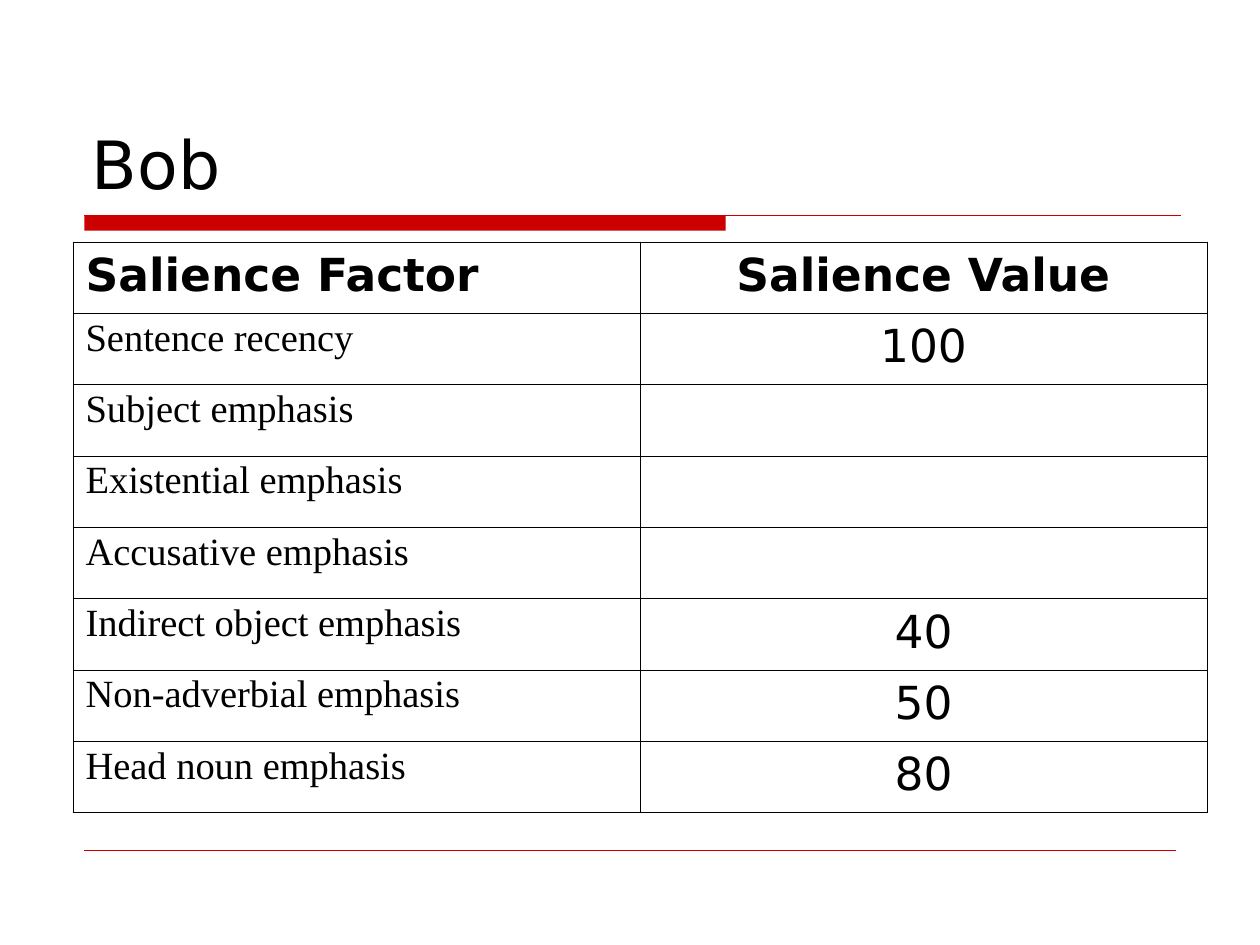
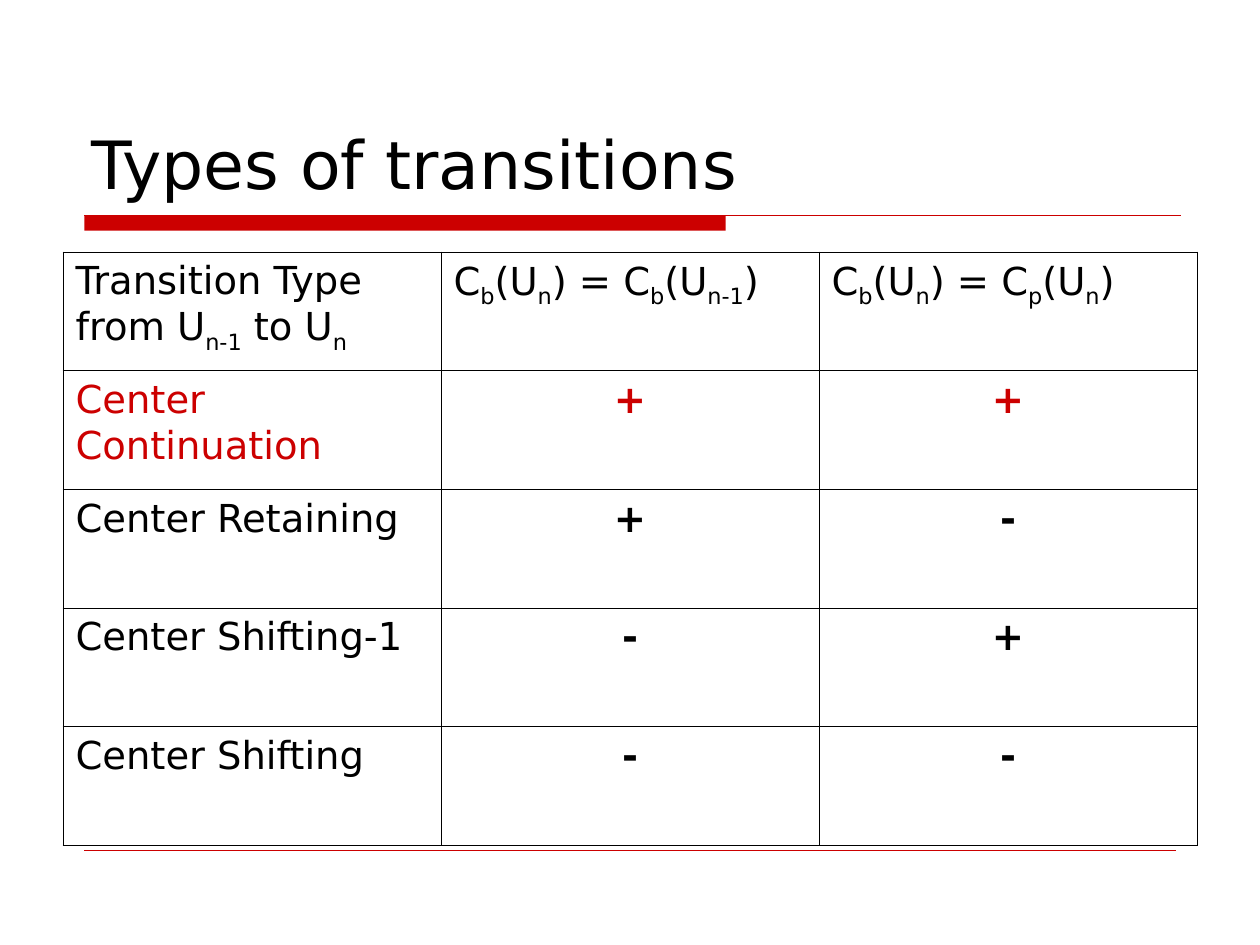
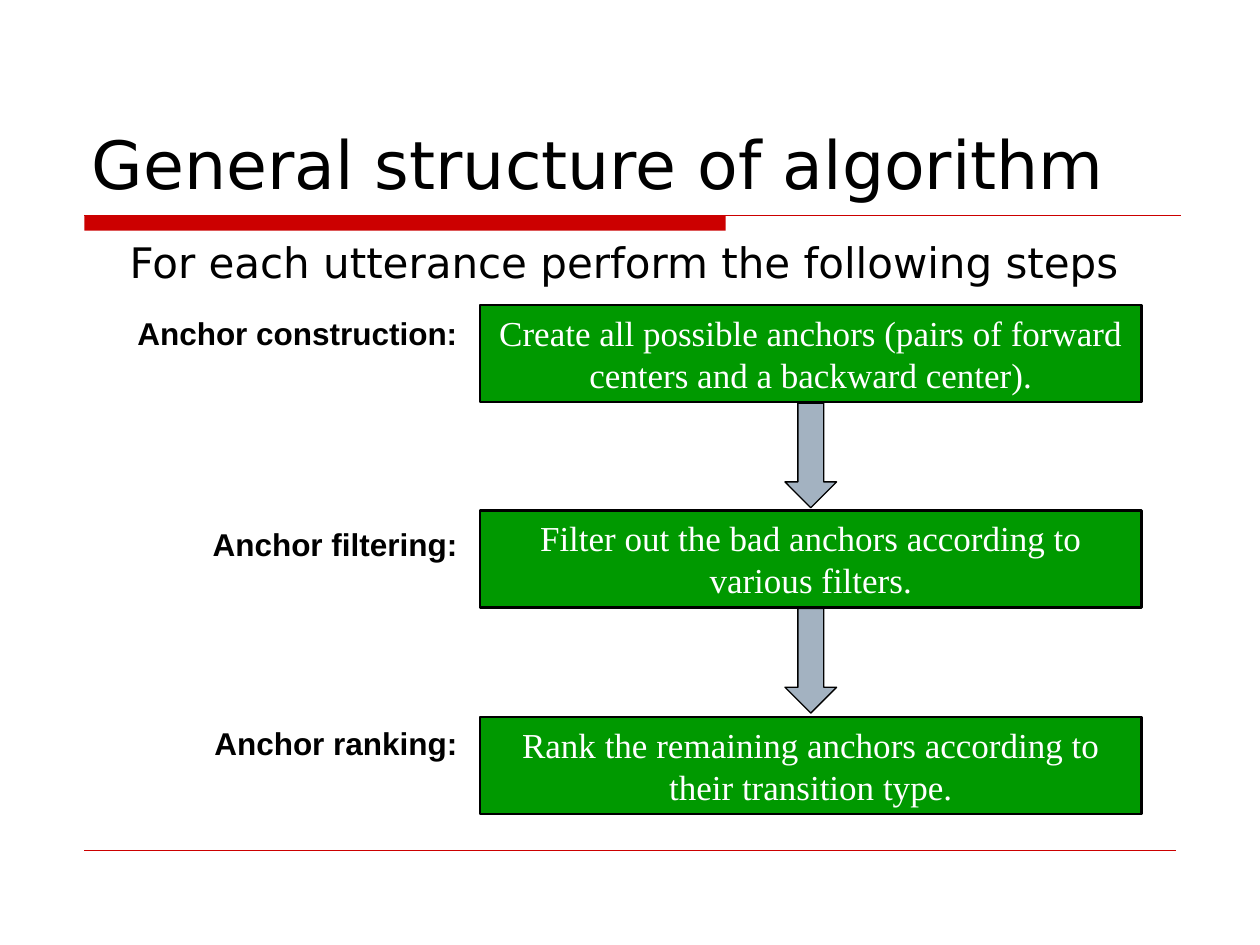
from dataclasses import dataclass
from typing import Optional

from lxml.etree import SubElement
from pptx import Presentation
from pptx.dml.color import RGBColor
from pptx.enum.shapes import MSO_CONNECTOR as LINE, MSO_SHAPE as SHAPE
from pptx.enum.text import MSO_ANCHOR as ANCHOR, MSO_AUTO_SIZE as FIT, PP_ALIGN as ALIGN
from pptx.oxml.ns import qn
from pptx.util import Emu, Pt

PX = 9144
COLORS = {
    "text": "000000",
    "accent": "CC0000",
    "box": "009900",
    "arrow": "A3B2C1",
    "light": "FFFFFF",
}
SANS, SERIF, LABEL = "DejaVu Sans", "Times New Roman", "Arial"
OUTER, INNER = 0.5, 0.23


@dataclass
class TextStyle:
    size: int
    font: str = SANS
    color: str = "text"
    bold: bool = False
    align: ALIGN = ALIGN.LEFT
    spacing: Optional[float] = None


@dataclass
class Cell:
    text: str
    style: TextStyle


@dataclass
class Step:
    label: str
    label_y: int
    label_w: int
    action: str


def px(n: int) -> Emu:
    return Emu(n * PX)


def rgb(name: str) -> RGBColor:
    return RGBColor.from_string(COLORS[name])


def write(tf, text: str, style: TextStyle, anchor=ANCHOR.TOP, left: int = 10,
          fit=FIT.NONE) -> None:
    tf.word_wrap = True
    tf.auto_size = fit
    tf.vertical_anchor = anchor
    tf.margin_left, tf.margin_right = px(left), px(10)
    tf.margin_top = tf.margin_bottom = px(5)
    fill_paragraph(tf.paragraphs[0], text, style)


def fill_paragraph(p, text: str, style: TextStyle) -> None:
    p.alignment = style.align
    if style.spacing:
        p.line_spacing = style.spacing
    for i, part in enumerate(text.split("|")):
        r = p.add_run()
        r.text = part
        f = r.font
        f.name, f.size, f.bold = style.font, Pt(style.size), style.bold
        f.color.rgb = rgb(style.color)
        if i % 2:
            r._r.get_or_add_rPr().set("baseline", "-25000")


def add_text(s, x: int, y: int, w: int, h: int, text: str, style: TextStyle, **fmt) -> None:
    sp = s.shapes.add_textbox(px(x), px(y), px(w), px(h))
    write(sp.text_frame, text, style, **fmt)


def add_box(s, kind, x: int, y: int, w: int, h: int, fill: str,
            line: Optional[float] = None):
    sp = s.shapes.add_shape(kind, px(x), px(y), px(w), px(h))
    sp.shadow.inherit = False
    sp.fill.solid()
    sp.fill.fore_color.rgb = rgb(fill)
    if line:
        sp.line.color.rgb = rgb("text")
        sp.line.width = Pt(line)
    else:
        sp.line.fill.background()
    return sp


def add_rule(s, x1: int, x2: int, y: int, width: float) -> None:
    c = s.shapes.add_connector(LINE.STRAIGHT, px(x1), px(y), px(x2), px(y))
    c.line.color.rgb = rgb("accent")
    c.line.width = Pt(width)
    SubElement(c._element.spPr, qn("a:effectLst"))


def add_slide(prs, title: str):
    s = prs.slides.add_slide(prs.slide_layouts[6])
    add_box(s, SHAPE.RECTANGLE, 67, 171, 509, 12, "accent")
    add_rule(s, 67, 937, 171, 0.75)
    add_rule(s, 67, 933, 675, 0.25)
    add_text(s, 63, 33, 875, 133, title, TextStyle(38), anchor=ANCHOR.BOTTOM)
    return s


def add_border(cell, side: str, width: float) -> None:
    ln = SubElement(cell._tc.get_or_add_tcPr(), qn(f"a:ln{side}"), w=str(Pt(width)))
    fill = SubElement(ln, qn("a:solidFill"))
    SubElement(fill, qn("a:srgbClr"), val=COLORS["text"])


def add_grid(s, x: int, y: int, w: int, h: int, rows: list[list[Cell]]) -> None:
    n, m = len(rows), len(rows[0])
    table = s.shapes.add_table(n, m, px(x), px(y), px(w), px(h)).table
    table.first_row = table.horz_banding = False
    for col in table.columns:
        col.width = px(w) // m
    for i, row in enumerate(rows):
        table.rows[i].height = px(h) // n
        for j, item in enumerate(row):
            cell = table.cell(i, j)
            edges = {"L": j == 0, "R": j == m - 1, "T": i == 0, "B": i == n - 1}
            for side, outer in edges.items():
                add_border(cell, side, OUTER if outer else INNER)
            cell.fill.background()
            cell.margin_left = cell.margin_right = px(10)
            cell.margin_top = cell.margin_bottom = px(5)
            if item.text:
                fill_paragraph(cell.text_frame.paragraphs[0], item.text, item.style)


def salience_slide(prs) -> None:
    head = TextStyle(26, bold=True, spacing=1.02)
    head_value = TextStyle(26, bold=True, align=ALIGN.CENTER, spacing=1.02)
    factor = TextStyle(22, SERIF, spacing=0.93)
    value = TextStyle(26, align=ALIGN.CENTER, spacing=1.02)
    factors = [
        ("Sentence recency", "100"),
        ("Subject emphasis", ""),
        ("Existential emphasis", ""),
        ("Accusative emphasis", ""),
        ("Indirect object emphasis", "40"),
        ("Non-adverbial emphasis", "50"),
        ("Head noun emphasis", "80"),
    ]
    rows = [[Cell("Salience Factor", head), Cell("Salience Value", head_value)]]
    rows += [[Cell(name, factor), Cell(points, value)] for name, points in factors]
    add_grid(add_slide(prs, "Bob"), 58, 192, 900, 453, rows)


def transitions_slide(prs) -> None:
    header = [
        "Transition Type from U|n-1| to U|n",
        "C|b|(U|n|) = C|b|(U|n-1|)",
        "C|b|(U|n|) = C|p|(U|n|)",
    ]
    transitions = [
        ("Center Continuation", "++", "accent"),
        ("Center Retaining", "+-", "text"),
        ("Center Shifting-1", "-+", "text"),
        ("Center Shifting", "--", "text"),
    ]
    rows = [[Cell(text, TextStyle(22, spacing=1.02)) for text in header]]
    for name, signs, color in transitions:
        sign = TextStyle(22, color=color, bold=True, align=ALIGN.CENTER, spacing=1.02)
        rows.append([Cell(name, TextStyle(22, color=color, spacing=1.02))]
                    + [Cell(mark, sign) for mark in signs])
    add_grid(add_slide(prs, "Types of transitions"), 50, 200, 900, 471, rows)


def algorithm_slide(prs) -> None:
    s = add_slide(prs, "General structure of algorithm")
    label = TextStyle(18, LABEL, bold=True, align=ALIGN.RIGHT)
    action = TextStyle(20, SERIF, "light", align=ALIGN.CENTER)
    steps = [
        Step("Anchor construction:", 244, 281,
             "Create all possible anchors (pairs of forward centers and a backward center)."),
        Step("Anchor filtering:", 412, 254,
             "Filter out the bad anchors according to various filters."),
        Step("Anchor ranking:", 570, 234,
             "Rank the remaining anchors according to their transition type."),
    ]
    for i, step in enumerate(steps):
        y = 242 + i * 327 // 2
        if i < len(steps) - 1:
            arrow = add_box(s, SHAPE.DOWN_ARROW, 623, y + 78, 41, 83, "arrow", 0.75)
            arrow.adjustments[0] = arrow.adjustments[1] = 0.5
        sp = add_box(s, SHAPE.RECTANGLE, 381, y, 525, 77, "box", 1.5)
        write(sp.text_frame, step.action, action, fit=FIT.SHAPE_TO_FIT_TEXT)
        add_text(s, 373 - step.label_w, step.label_y, step.label_w, 40, step.label, label,
                 fit=FIT.SHAPE_TO_FIT_TEXT)
    add_text(s, 42, 183, 900, 51, "For each utterance perform the following steps",
             TextStyle(24), left=61)


def main() -> None:
    prs = Presentation()
    prs.slide_width, prs.slide_height = px(1000), px(750)
    salience_slide(prs)
    transitions_slide(prs)
    algorithm_slide(prs)
    prs.save("out.pptx")


if __name__ == "__main__":
    main()
